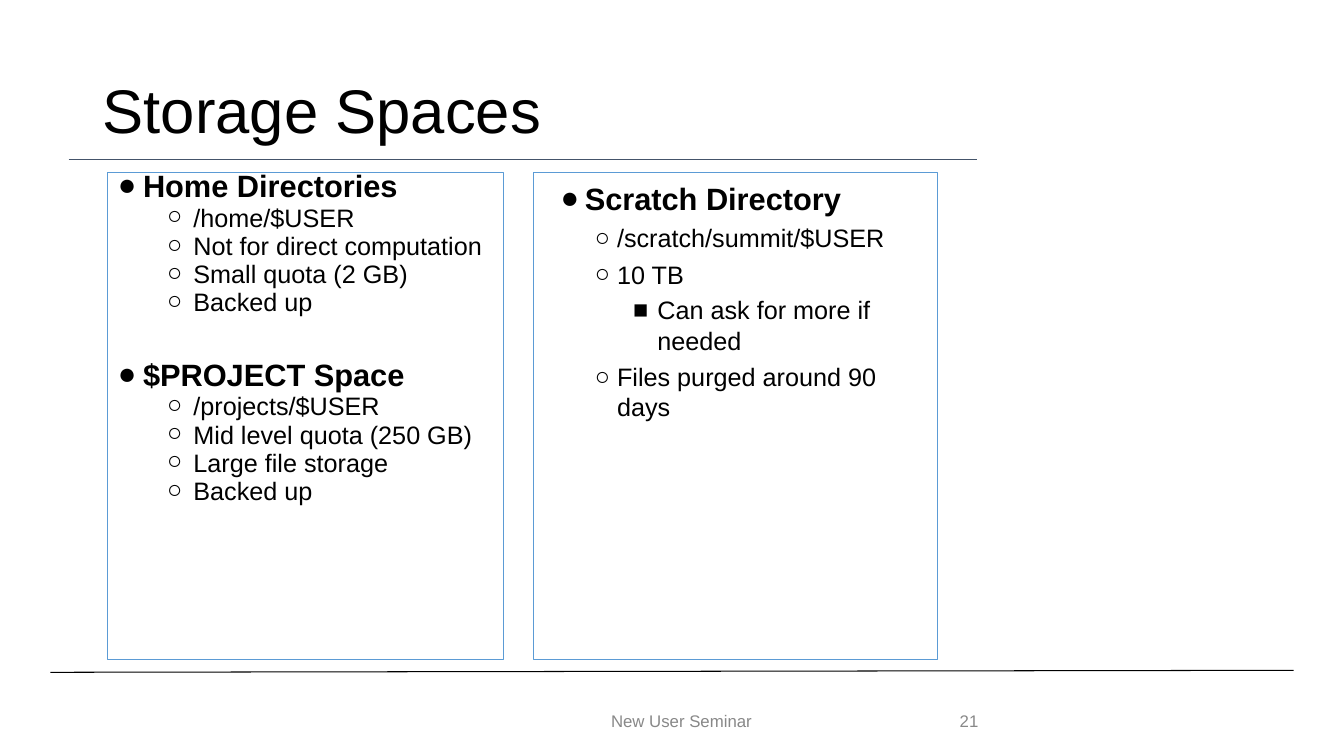
from lxml import etree
from pptx import Presentation
from pptx.dml.color import RGBColor
from pptx.enum.shapes import MSO_CONNECTOR as CONN, MSO_SHAPE as SHAPE
from pptx.enum.text import MSO_ANCHOR as ANCHOR, PP_ALIGN as ALIGN
from pptx.oxml.ns import qn
from pptx.util import Inches, Pt

BLACK, GRAY, BLUE, SLATE = "000000", "888888", "5B9BD5", "44546A"
BULLETS = "●○■"
SIZES = (22, 18, 18)

# Each item: level, text, space before in points
STORAGE = [
    (0, "Home Directories", 0),
    (1, "/home/$USER", 5),
    (1, "Not for direct computation", 5),
    (1, "Small quota (2 GB)", 5),
    (1, "Backed up", 5),
    (0, "$PROJECT Space", 36),
    (1, "/projects/$USER", 5),
    (1, "Mid level quota (250 GB)", 5),
    (1, "Large file storage", 5),
    (1, "Backed up", 5),
]
SCRATCH = [
    (0, "Scratch Directory", 0),
    (1, "/scratch/summit/$USER", 4.4),
    (1, "10 TB", 4.4),
    (2, "Can ask for more if needed", 4),
    (1, "Files purged around 90 days", 4.4),
]


def rgb(color):
    return RGBColor.from_string(color)


def write(p, text, size=18, color=BLACK, bold=False, align=ALIGN.LEFT,
          spacing=None, before=0):
    p.alignment = align
    p.space_before = Pt(before)
    if spacing:
        p.line_spacing = spacing
    r = p.add_run()
    r.text = text
    r.font.name = "Arial"
    r.font.size = Pt(size)
    r.font.bold = bold
    r.font.color.rgb = rgb(color)


def set_margins(tf, x=0.1, y=0.05):
    tf.word_wrap = True
    tf.margin_left = tf.margin_right = Inches(x)
    tf.margin_top = tf.margin_bottom = Inches(y)


def add_bullet(p, level, left, hanging):
    p.level = level
    pPr = p._p.get_or_add_pPr()
    pPr.set("marL", str(Inches(left)))
    pPr.set("indent", str(-Inches(hanging)))
    clr = etree.SubElement(pPr, qn("a:buClr"))
    etree.SubElement(clr, qn("a:srgbClr"), val=BLACK)
    etree.SubElement(pPr, qn("a:buFont"), typeface="Arial")
    etree.SubElement(pPr, qn("a:buChar"), char=BULLETS[level])


def add_rule(s, x1, y1, x2, y2, color):
    line = s.shapes.add_connector(CONN.STRAIGHT, *map(Inches, (x1, y1, x2, y2)))
    line.line.color.rgb = rgb(color)
    line.line.width = Pt(0.75)
    etree.SubElement(line._element.spPr, qn("a:effectLst"))


def add_title(s, text, x, y, w, h):
    title = s.shapes.title
    title.left, title.top, title.width, title.height = map(Inches, (x, y, w, h))
    tf = title.text_frame
    set_margins(tf)
    tf.vertical_anchor = ANCHOR.MIDDLE
    write(tf.paragraphs[0], text, size=44, spacing=0.9)


def add_panel(s, items, x, y, w, h, indents, margins, spacing=None):
    """Outlined box of bullets; indents holds (left, hanging) per level."""
    sp = s.shapes.add_shape(SHAPE.RECTANGLE, *map(Inches, (x, y, w, h)))
    sp.shadow.inherit = False
    sp.fill.background()
    sp.line.color.rgb = rgb(BLUE)
    sp.line.width = Pt(0.75)
    tf = sp.text_frame
    set_margins(tf, *margins)
    tf.vertical_anchor = ANCHOR.TOP
    for i, (level, text, before) in enumerate(items):
        p = tf.add_paragraph() if i else tf.paragraphs[0]
        add_bullet(p, level, *indents[level])
        write(p, text, size=SIZES[level], bold=level == 0,
              spacing=spacing, before=before)


def add_footer(s, text, x, y, w, h, align=ALIGN.LEFT):
    tf = s.shapes.add_textbox(*map(Inches, (x, y, w, h))).text_frame
    set_margins(tf)
    tf.vertical_anchor = ANCHOR.MIDDLE
    write(tf.paragraphs[0], text, size=12, color=GRAY, align=align)


def main():
    prs = Presentation()
    prs.slide_width, prs.slide_height = Inches(13.33), Inches(7.5)
    s = prs.slides.add_slide(prs.slide_layouts[5])

    # Footer rule and title
    add_rule(s, 0.5, 6.67, 12.83, 6.65, BLACK)
    add_title(s, "Storage Spaces", 0.92, 0.4, 11.5, 1.45)

    # Two panels of storage areas
    top, height = 1.71, 4.83
    add_panel(s, STORAGE, 1.07, top, 3.92, height,
              [(0.25, 0.27), (0.75, 0.26)], (0.1, 0.05), spacing=0.7)
    add_panel(s, SCRATCH, 5.29, top, 4.01, height,
              [(0.38, 0.24), (0.7, 0.22), (1.1, 0.24)], (0.13, 0.07))

    # Footer text and title rule
    add_footer(s, "New User Seminar", 4.51, 6.95, 4.5, 0.4, ALIGN.CENTER)
    add_footer(s, "21", 9.42, 6.95, 0.75, 0.4)
    add_rule(s, 0.68, 1.58, 9.69, 1.58, SLATE)

    prs.save("out.pptx")


if __name__ == "__main__":
    main()
